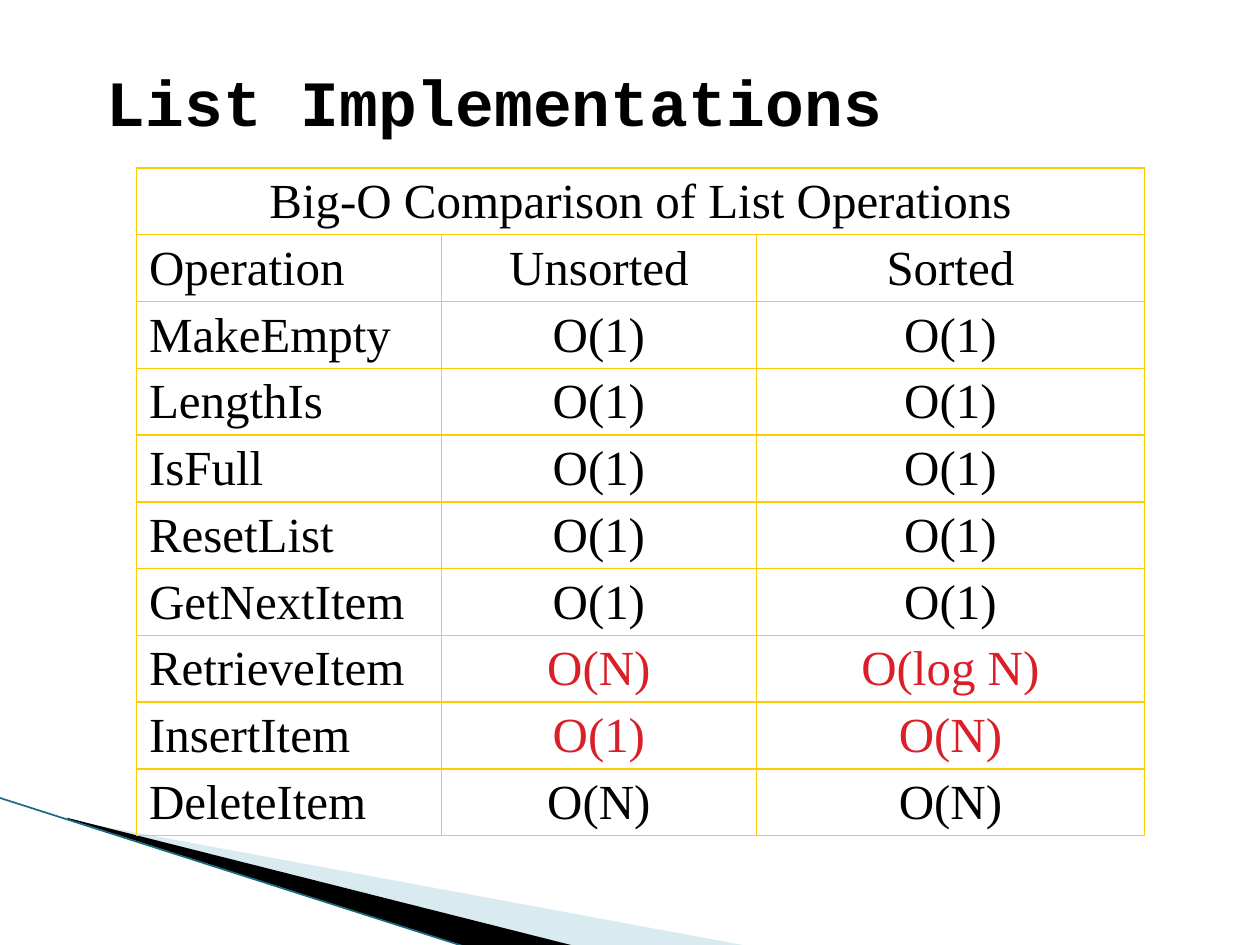
from dataclasses import dataclass

import pptx
import pptx.dml.color
import pptx.enum.shapes
import pptx.enum.text
import pptx.oxml
import pptx.oxml.ns
import pptx.util

COLORS = {"ink": "000000", "accent": "DA1F28", "grid": "FFCC00",
          "pale": "A0CBDC", "edge": "1B6B80"}
ALIGN = pptx.enum.text.PP_ALIGN
COLUMNS, ROWS = 100, 75  # slide grid, square units


@dataclass
class Wedge:
    points: list[tuple[float, float]]  # grid columns and rows
    color: str
    opacity: int = 100


@dataclass
class Operation:
    name: str
    unsorted: str
    in_order: str
    color: str = "ink"


WEDGES = [
    Wedge([(5.5, 65.1), (59.5, 75.1), (45.6, 75.1), (5.5, 65)], "pale", 40),
    Wedge([(5.3, 64.9), (45.7, 75.1), (37.2, 75.2), (5.4, 65)], "ink"),
]
OPERATIONS = [
    Operation("Operation", "Unsorted", "Sorted"),
    *(Operation(name, "O(1)", "O(1)") for name in
      ("MakeEmpty", "LengthIs", "IsFull", "ResetList", "GetNextItem")),
    Operation("RetrieveItem", "O(N)", "O(log N)", "accent"),
    Operation("InsertItem", "O(1)", "O(N)", "accent"),
    Operation("DeleteItem", "O(N)", "O(N)"),
]
COLUMN_WIDTHS = (24.2, 25, 30.8)
ROW_HEIGHT = 5.3

deck = pptx.Presentation()
deck.slide_width = pptx.util.Inches(10)
deck.slide_height = pptx.util.Inches(7.5)
slide = deck.slides.add_slide(deck.slide_layouts[6])


def col(columns: float) -> int:
    return round(deck.slide_width * columns / COLUMNS)


def row(rows: float) -> int:
    return round(deck.slide_height * rows / ROWS)


def rgb(color: str) -> pptx.dml.color.RGBColor:
    return pptx.dml.color.RGBColor.from_string(COLORS[color])


def write(frame, text: str, *, font="Times New Roman", size=28, color="ink",
          bold=False, align=ALIGN.LEFT) -> None:
    paragraph = frame.paragraphs[0]
    paragraph.alignment = align
    run = paragraph.add_run()
    run.text = text
    run.font.name = font
    run.font.size = pptx.util.Pt(size)
    run.font.bold = bold
    run.font.color.rgb = rgb(color)


def draw_wedge(wedge: Wedge) -> None:
    start, *rest = [(col(x), row(y)) for x, y in wedge.points]
    builder = slide.shapes.build_freeform(*start)
    builder.add_line_segments(rest, close=True)
    shape = builder.convert_to_shape()
    shape.shadow.inherit = False
    shape.line.fill.background()
    shape.fill.solid()
    shape.fill.fore_color.rgb = rgb(wedge.color)
    if wedge.opacity < 100:
        tint = shape.fill._xPr.find(".//" + pptx.oxml.ns.qn("a:srgbClr"))
        tint.append(pptx.oxml.parse_xml(
            f'<a:alpha {pptx.oxml.ns.nsdecls("a")} val="{wedge.opacity * 1000}"/>'))


def format_cell(cell) -> None:
    cell.margin_top = row(0.55)
    cell.margin_bottom = 0
    properties = cell._tc.get_or_add_tcPr()
    for side in "LRTB":
        properties.append(pptx.oxml.parse_xml(
            f'<a:ln{side} {pptx.oxml.ns.nsdecls("a")} w="12700"><a:solidFill>'
            f'<a:srgbClr val="{COLORS["grid"]}"/></a:solidFill></a:ln{side}>'))
    cell.fill.background()


# Corner wedges and their edge
for wedge in WEDGES:
    draw_wedge(wedge)
edge = slide.shapes.add_connector(pptx.enum.shapes.MSO_CONNECTOR.STRAIGHT,
                                  col(-0.1), row(63.3), col(37.1), row(75.2))
edge.line.color.rgb = rgb("edge")
edge.line.width = pptx.util.Pt(0.95)
edge._element.spPr.append(pptx.oxml.parse_xml(
    f'<a:effectLst {pptx.oxml.ns.nsdecls("a")}/>'))

# Title
title = slide.shapes.add_textbox(col(7.5), row(4.2), col(85), row(7.5)).text_frame
title.word_wrap = True
title.vertical_anchor = pptx.enum.text.MSO_ANCHOR.MIDDLE
write(title, "List Implementations", font="Courier New", size=36.9, bold=True)

# Comparison table
row_count = len(OPERATIONS) + 1
table = slide.shapes.add_table(
    row_count, len(COLUMN_WIDTHS), col(10.83), row(13.33),
    col(sum(COLUMN_WIDTHS)), row(ROW_HEIGHT * row_count)).table
table.first_row = table.horz_banding = False
for column, width in zip(table.columns, COLUMN_WIDTHS):
    column.width = col(width)
for line in table.rows:
    line.height = row(ROW_HEIGHT)
for cell in table.iter_cells():
    format_cell(cell)

heading = table.cell(0, 0)
heading.merge(table.cell(0, len(COLUMN_WIDTHS) - 1))
write(heading.text_frame, "Big-O Comparison of List Operations", align=ALIGN.CENTER)
for index, operation in enumerate(OPERATIONS, start=1):
    write(table.cell(index, 0).text_frame, operation.name)
    for place, cost in enumerate((operation.unsorted, operation.in_order), start=1):
        write(table.cell(index, place).text_frame, cost,
              color=operation.color, align=ALIGN.CENTER)

deck.save("out.pptx")
